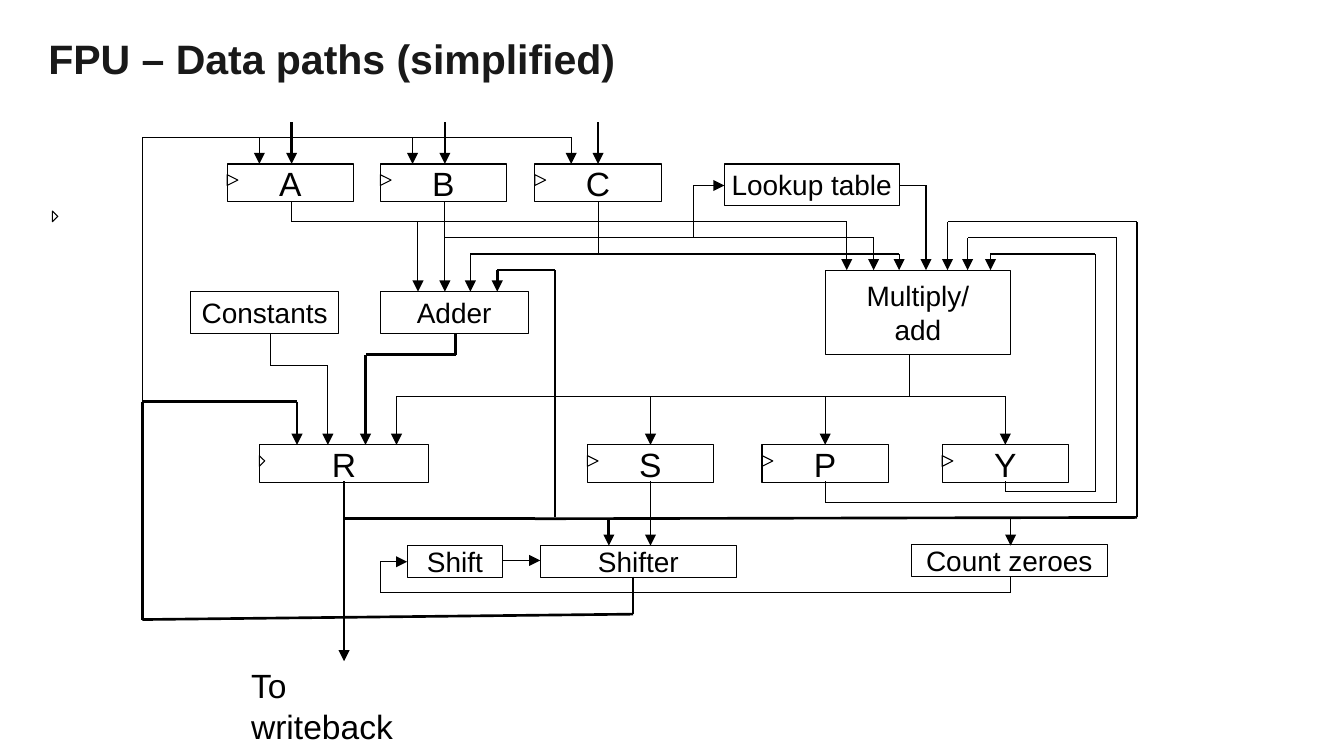
import pptx
import pptx.util
import pptx.dml.color
import pptx.enum.text
import pptx.enum.shapes
import pptx.oxml.ns
import lxml.etree

SCALE = 9144
WIDE = 1000
FONT = "Arial"
HUES = {"ink": "000000", "title": "191919", "paper": "FFFFFF"}
THIN, BOLD = 0.57, 1.42
ANCHOR = pptx.enum.text.MSO_ANCHOR
ALIGN = pptx.enum.text.PP_ALIGN

TOP, LOW = 122, 331
CELLS = [("A", 169, TOP, 94, 8), ("B", 283, TOP, 94, 8), ("C", 398, TOP, 94, 8),
         ("R", 193, LOW, 126, 4), ("S", 437, LOW, 94, 8),
         ("P", 567, LOW, 94, 8), ("Y", 701, LOW, 94, 8)]
UNITS = [("Shifter", 402, 406, 146, 24), ("Adder", 283, 217, 110, 31),
         ("Multiply/\nadd", 614, 201, 138, 63), ("Lookup table", 539, 122, 130, 31),
         ("Count zeroes", 678, 405, 146, 24), ("Shift", 303, 406, 71, 24),
         ("Constants", 142, 217, 110, 31)]

BUSES = [
    [(471, 429), (471, 457), (106, 461), (106, 299)],
    [(256, 386), (398, 386), (846, 385)],
]
BUS_ARROWS = [
    [(256, 358), (256, 492)],
    [(453, 386), (453, 406)],
    [(106, 299), (221, 299), (221, 331)],
    [(413, 385), (413, 201), (370, 201), (370, 217)],
    [(339, 248), (339, 264), (272, 264), (272, 331)],
]
WIRES = [
    [(677, 264), (677, 295)],
    [(295, 295), (748, 295)],
    [(445, 150), (445, 189)],
]
WIRE_ARROWS = [
    [(106, 299), (106, 102), (425, 102), (425, 122)],
    [(484, 358), (484, 406)],
    [(311, 165), (311, 217)],
    [(331, 150), (331, 217)],
    [(445, 189), (350, 189), (350, 217)],
    [(217, 150), (217, 165), (630, 165), (630, 201)],
    [(331, 177), (650, 177), (650, 201)],
    [(445, 189), (669, 189), (669, 201)],
    [(516, 177), (516, 138), (539, 138)],
    [(669, 138), (689, 138), (689, 201)],
    [(748, 358), (748, 366), (815, 366), (815, 189), (737, 189), (737, 201)],
    [(614, 358), (614, 374), (831, 374), (831, 177), (720, 177), (720, 201)],
    [(846, 385), (846, 165), (705, 165), (705, 201)],
    [(752, 386), (752, 406)],
    [(374, 417), (402, 417)],
    [(752, 429), (752, 441), (283, 441), (283, 418), (303, 418)],
    [(201, 248), (201, 272), (244, 272), (244, 331)],
]


def px(num):
    return pptx.util.Emu(num * SCALE)


def hue(name):
    return pptx.dml.color.RGBColor.from_string(HUES[name])


def apply(item, vals):
    for key, val in vals.items():
        setattr(item, key, val)


def ink(line, width):
    line.color.rgb = hue("ink")
    line.width = pptx.util.Pt(width)


def write(frame, text, size, look, para, tint="ink", bold=False):
    apply(frame, look)
    for num, row in enumerate(text.split("\n")):
        part = frame.paragraphs[0] if num == 0 else frame.add_paragraph()
        apply(part, para)
        run = part.add_run()
        run.text = row
        apply(run.font, {"name": FONT, "size": pptx.util.Pt(size), "bold": bold})
        run.font.color.rgb = hue(tint)


def label(slide, text, rect, size, look, para, **more):
    box = slide.shapes.add_textbox(*map(px, rect))
    write(box.text_frame, text, size, look, para, **more)


def block(slide, text, rect, size):
    box = slide.shapes.add_shape(pptx.enum.shapes.MSO_SHAPE.RECTANGLE, *map(px, rect))
    box.shadow.inherit = False
    box.fill.solid()
    box.fill.fore_color.rgb = hue("paper")
    ink(box.line, THIN)
    look = {"word_wrap": False, "vertical_anchor": ANCHOR.MIDDLE}
    write(box.text_frame, text, size, look, {"alignment": ALIGN.CENTER})


def clock(slide, left, top, wide):
    pen = slide.shapes.build_freeform(left, top, SCALE)
    pen.add_line_segments([(left, top + 8), (left + wide, top + 4)], close=True)
    mark = pen.convert_to_shape()
    mark.shadow.inherit = False
    mark.fill.background()
    ink(mark.line, THIN)


def wire(slide, points, width, arrow):
    kind = pptx.enum.shapes.MSO_CONNECTOR.STRAIGHT
    for start, end in zip(points, points[1:]):
        line = slide.shapes.add_connector(kind, *map(px, start + end))
        ink(line.line, width)
        props = line._element.spPr
        lxml.etree.SubElement(props, pptx.oxml.ns.qn("a:effectLst"))
        if arrow and end == points[-1]:
            tail = lxml.etree.SubElement(line.line._get_or_add_ln(), pptx.oxml.ns.qn("a:tailEnd"))
            tail.set("type", "triangle")


def main():
    deck = pptx.Presentation()
    apply(deck, {"slide_width": px(WIDE), "slide_height": px(WIDE) * 9 // 16})
    slide = deck.slides.add_slide(deck.slide_layouts[6])

    flush = dict.fromkeys(("margin_left", "margin_top", "margin_right", "margin_bottom"), 0)
    look = {"word_wrap": True, "vertical_anchor": ANCHOR.MIDDLE, **flush}
    label(slide, "FPU – Data paths (simplified)", (36, 24, 950, 43), 22, look,
          {"line_spacing": 0.9}, tint="title", bold=True)

    for text, left, top, wide, _ in CELLS:
        block(slide, text, (left, top, wide, 28), 18)
    for text, *rect in UNITS:
        block(slide, text, rect, 15)

    inputs = [[(x, 91), (x, TOP)] for x in (217, 331, 445)]
    loads = [[(x, 102), (x, TOP)] for x in (193, 307)]
    drops = [[(x, 295), (x, LOW)] for x in (295, 484, 614, 748)]
    for paths, width, arrow in ((BUSES, BOLD, False), (BUS_ARROWS + inputs, BOLD, True),
                                (WIRES, THIN, False), (WIRE_ARROWS + loads + drops, THIN, True)):
        for points in paths:
            wire(slide, points, width, arrow)

    label(slide, "To writeback", (177, 490, 157, 38), 18, {"word_wrap": True}, {})
    clock(slide, 39, 157, 4)
    for _, left, top, _, wide in CELLS:
        clock(slide, left, top + 8, wide)
    deck.save("out.pptx")


if __name__ == "__main__":
    main()
